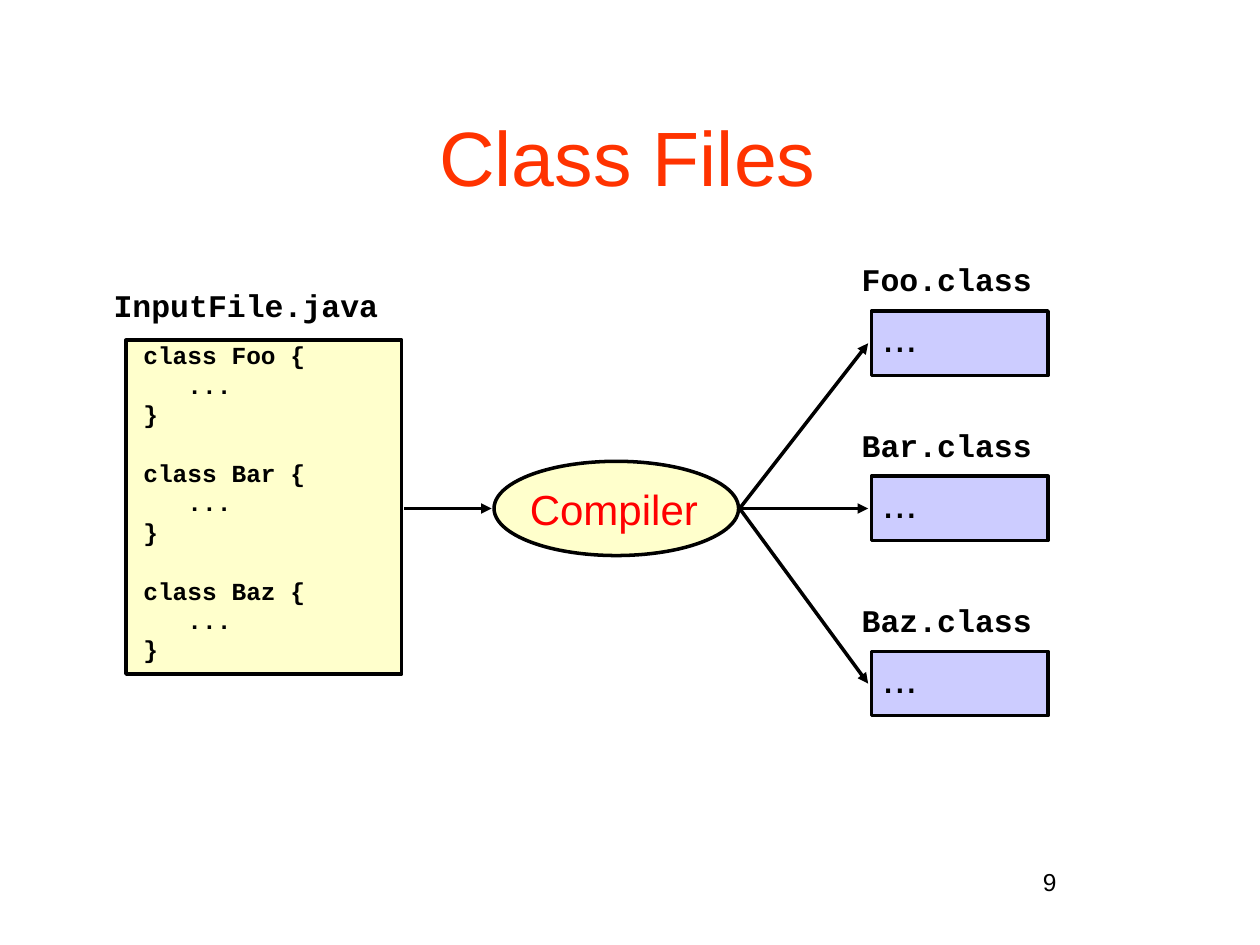
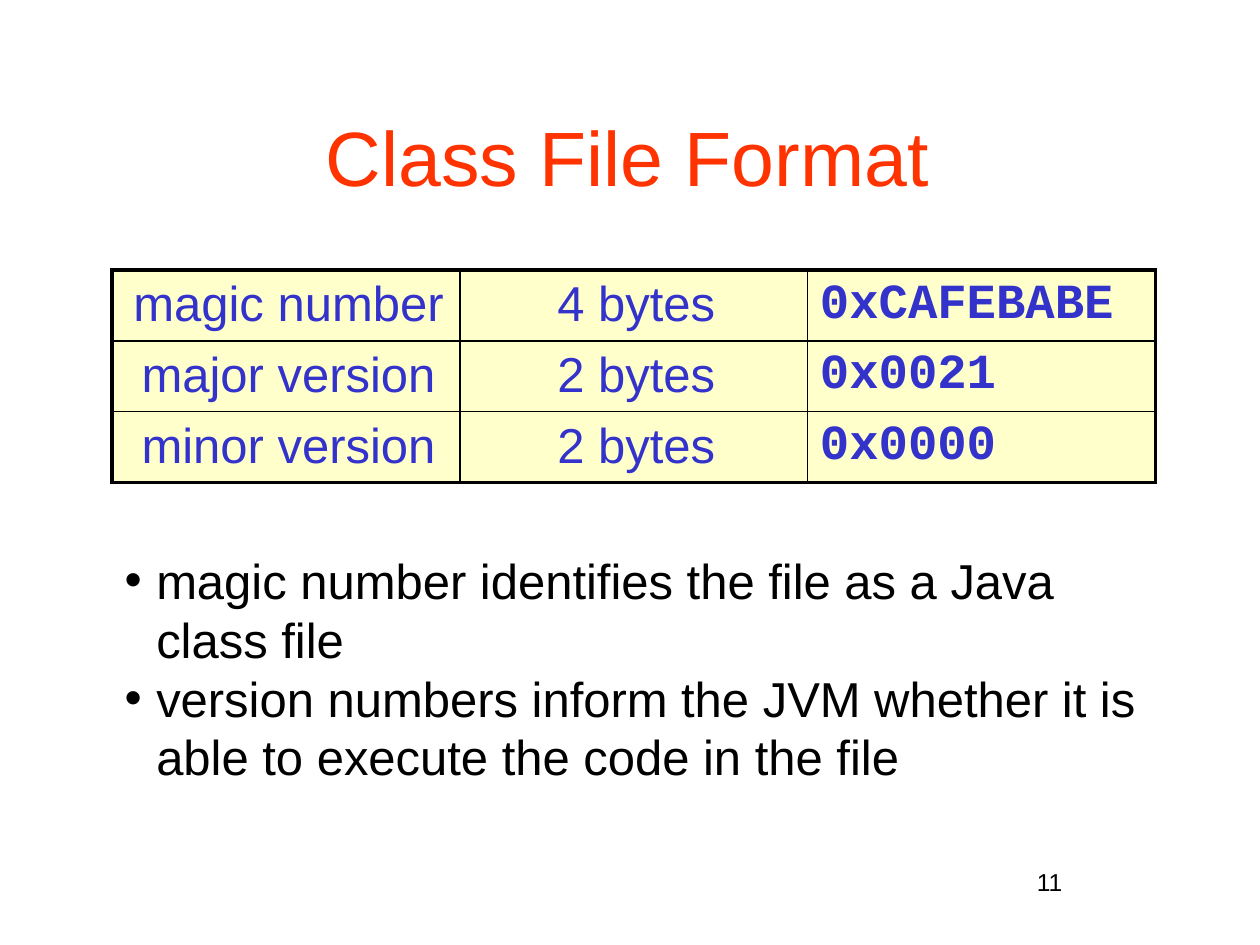
"""Build two slides on Java class files, with all places given in centimetres."""
from dataclasses import dataclass

from lxml import etree
from pptx import Presentation
from pptx.enum.shapes import MSO_CONNECTOR, MSO_SHAPE
from pptx.enum.text import MSO_ANCHOR, MSO_AUTO_SIZE, PP_ALIGN
from pptx.oxml.ns import qn
from pptx.dml.color import RGBColor
from pptx.util import Cm, Pt

RECT, OVAL = MSO_SHAPE.RECTANGLE, MSO_SHAPE.OVAL
STRAIGHT = MSO_CONNECTOR.STRAIGHT
LEFT, CENTER = PP_ALIGN.LEFT, PP_ALIGN.CENTER
TOP, MIDDLE = MSO_ANCHOR.TOP, MSO_ANCHOR.MIDDLE
FIXED = MSO_AUTO_SIZE.NONE

COLORS = {
    "title": "FF3300",
    "ink": "000000",
    "red": "FF0000",
    "blue": "3333CC",
    "cream": "FFFFCC",
    "lilac": "CCCCFF",
}
SANS, MONO = "Arial", "Courier New"
LEAD = 1.2
TITLE_ONLY, TITLE_BODY = 5, 1


@dataclass(frozen=True)
class Box:
    left: float
    top: float
    width: float
    height: float

    @property
    def mid(self) -> float:
        return self.top + self.height / 2

    def place(self) -> tuple:
        return Cm(self.left), Cm(self.top), Cm(self.width), Cm(self.height)


@dataclass(frozen=True)
class Output:
    name: str
    top: float


TITLE = Box(1.9, 0.74, 21.6, 4.78)
NUMBER = Box(20.73, 17.35, 0.86, 0.84)
SOURCE = Box(2.54, 6.86, 5.56, 6.73)
COMPILER = Box(9.96, 9.3, 4.93, 1.9)
GRID = Box(2.26, 5.44, 21.03, 4.29)
NOTES = Box(2.41, 11.1, 20.88, 4.78)
OUTPUTS = [Output("Foo", 6.27), Output("Bar", 9.6), Output("Baz", 13.13)]
FIELDS = [
    ("magic number", "4 bytes", "0xCAFEBABE"),
    ("major version", "2 bytes", "0x0021"),
    ("minor version", "2 bytes", "0x0000"),
]


def tint(name: str) -> RGBColor:
    return RGBColor.from_string(COLORS[name])


def write(frame, text: str, *, size: float, font: str = SANS, color: str = "ink",
          bold: bool = False, align=LEFT, lead: float = 0, wrap: bool = True,
          inset: tuple = (0, 0, 0.1, 0), anchor=TOP) -> None:
    frame.text = text
    frame.word_wrap = wrap
    frame.auto_size = FIXED
    frame.vertical_anchor = anchor
    (frame.margin_left, frame.margin_top,
     frame.margin_right, frame.margin_bottom) = map(Cm, inset)
    style(frame.paragraphs, size, font, color, bold, align, lead)


def style(lines, size: float, font: str, color: str, bold: bool, align,
          lead: float) -> None:
    for line in lines:
        line.alignment = align
        line.space_before = Pt(0)
        if lead:
            line.line_spacing = Pt(size * lead)
        for run in line.runs:
            run.font.size = Pt(size)
            run.font.name = font
            run.font.bold = bold
            run.font.color.rgb = tint(color)


def indent(line, left: float, first: float = 0) -> None:
    props = line._p.get_or_add_pPr()
    props.set("marL", str(Cm(left)))
    props.set("indent", str(Cm(first)))


def start(deck, layout: int, title: str, number: int):
    slide = deck.slides.add_slide(deck.slide_layouts[layout])
    head = slide.shapes.title
    head.left, head.top, head.width, head.height = TITLE.place()
    write(head.text_frame, title, size=44, color="title", align=CENTER,
          anchor=MIDDLE, inset=(0.25, 0.15, 0.35, 0.15))
    note = slide.shapes.add_textbox(*NUMBER.place())
    write(note.text_frame, str(number), size=14, align=CENTER, wrap=False,
          inset=(0.25, 0.13, 0.25, 0.13))
    return slide


def block(slide, kind, box: Box, fill: str):
    shape = slide.shapes.add_shape(kind, *box.place())
    shape.shadow.inherit = False
    shape.fill.solid()
    shape.fill.fore_color.rgb = tint(fill)
    shape.line.color.rgb = tint("ink")
    shape.line.width = Pt(2)
    return shape


def label(slide, text: str, box: Box) -> None:
    shape = slide.shapes.add_textbox(*box.place())
    write(shape.text_frame, text, size=18, font=MONO, bold=True, lead=LEAD)


def arrow(slide, x: float, y: float, to_x: float, to_y: float) -> None:
    link = slide.shapes.add_connector(STRAIGHT, Cm(x), Cm(y), Cm(to_x), Cm(to_y))
    link.line.color.rgb = tint("ink")
    link.line.width = Pt(2)
    props = link.element.spPr
    etree.SubElement(props.find(qn("a:ln")), qn("a:tailEnd"), type="triangle")
    etree.SubElement(props, qn("a:effectLst"))


def border(cell, side: str, width: float) -> None:
    props = cell._tc.get_or_add_tcPr()
    line = etree.SubElement(props, qn(f"a:ln{side}"), w=str(Pt(width)))
    fill = etree.SubElement(line, qn("a:solidFill"))
    etree.SubElement(fill, qn("a:srgbClr"), val=COLORS["ink"])


def draw_source(slide) -> None:
    label(slide, "InputFile.java", Box(2.29, 5.77, 6.07, 0.99))
    code = "\n".join(f"class {item.name} {{\n...\n}}" for item in OUTPUTS)
    frame = block(slide, RECT, SOURCE, "cream").text_frame
    write(frame, code, size=14, font=MONO, bold=True, lead=LEAD,
          inset=(0.25, 0, 0.1, 0))
    for row, line in enumerate(frame.paragraphs):
        indent(line, 0.99 if row % 3 == 1 else 0.1)
        if row and row % 3 == 0:
            line.space_before = Pt(14 * LEAD)


def draw_output(slide, item: Output) -> None:
    box = Box(17.57, item.top, 3.56, 1.3)
    label(slide, f"{item.name}.class", Box(17.37, item.top - 1.02, 3.96, 0.99))
    frame = block(slide, RECT, box, "lilac").text_frame
    write(frame, "...", size=24, lead=LEAD, inset=(0.22, 0, 0.1, 0))
    arrow(slide, 14.91, COMPILER.mid, 17.5, box.mid)


def draw_grid(slide) -> None:
    table = slide.shapes.add_table(3, 3, *GRID.place()).table
    table.first_row = table.horz_banding = False
    for column in table.columns:
        column.width = Cm(GRID.width / 3)
    for r, field in enumerate(FIELDS):
        table.rows[r].height = Cm(GRID.height / 3)
        for c, text in enumerate(field):
            cell = table.cell(r, c)
            edges = {"L": c == 0, "R": c == 2, "T": r == 0, "B": r == 2}
            for side, outer in edges.items():
                border(cell, side, 2.25 if outer else 1)
            cell.fill.solid()
            cell.fill.fore_color.rgb = tint("cream")
            cell.margin_left = Cm(0.25)
            cell.margin_right = cell.margin_top = cell.margin_bottom = Cm(0.15)
            cell.text = text
            value = c == 2
            style(cell.text_frame.paragraphs, 28, MONO if value else SANS, "blue",
                  value, LEFT if value else CENTER, 0)


def draw_notes(slide) -> None:
    body = slide.placeholders[1]
    body.left, body.top, body.width, body.height = NOTES.place()
    write(body.text_frame,
          "magic number identifies the file as a Java class file\n"
          "version numbers inform the JVM whether it is able to execute "
          "the code in the file", size=28, lead=LEAD)
    for line in body.text_frame.paragraphs:
        indent(line, 0.74, -0.64)


def main() -> None:
    deck = Presentation()
    deck.slide_width, deck.slide_height = Cm(25.4), Cm(19.05)

    files = start(deck, TITLE_ONLY, "Class Files", 9)
    draw_source(files)
    oval = block(files, OVAL, COMPILER, "cream")
    write(oval.text_frame, "Compiler", size=24, color="red", align=CENTER,
          wrap=False, anchor=MIDDLE)
    arrow(files, 8.15, COMPILER.mid, 9.91, COMPILER.mid)
    for item in OUTPUTS:
        draw_output(files, item)

    layout = start(deck, TITLE_BODY, "Class File Format", 11)
    draw_grid(layout)
    draw_notes(layout)

    deck.save("out.pptx")


main()
